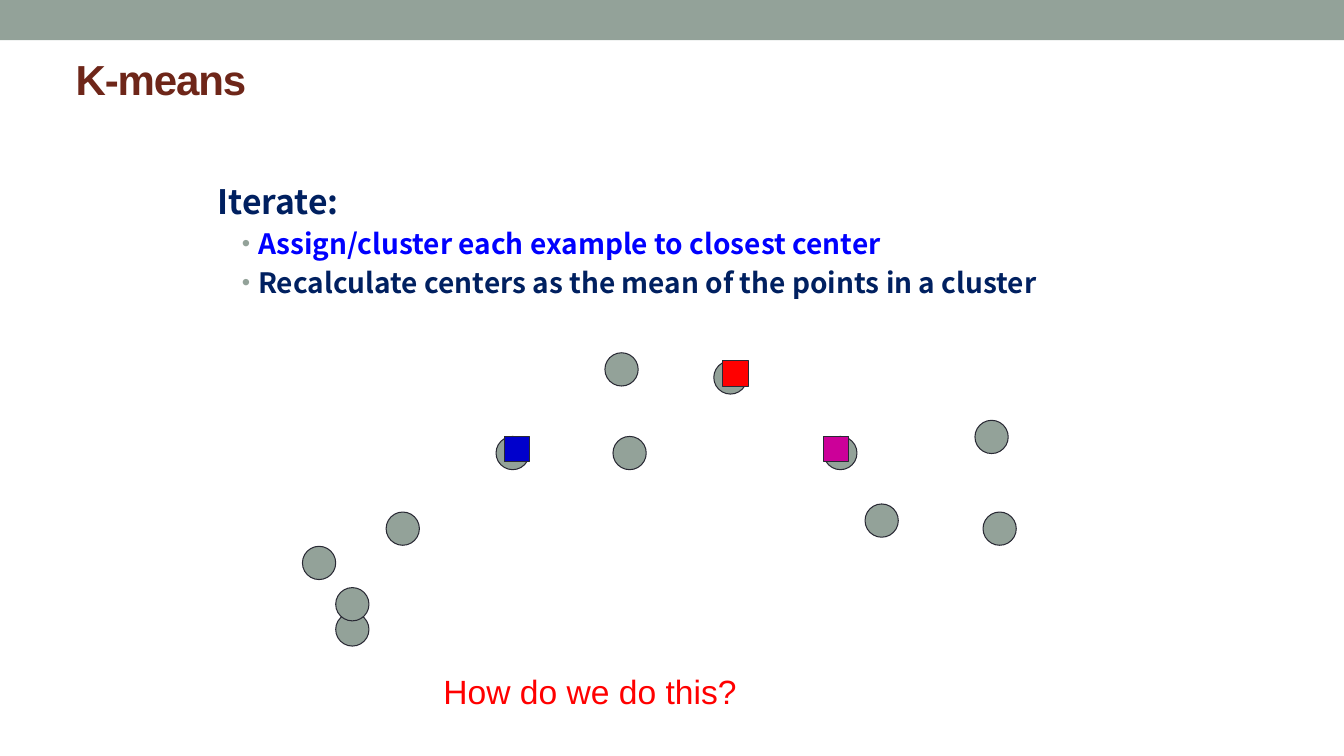
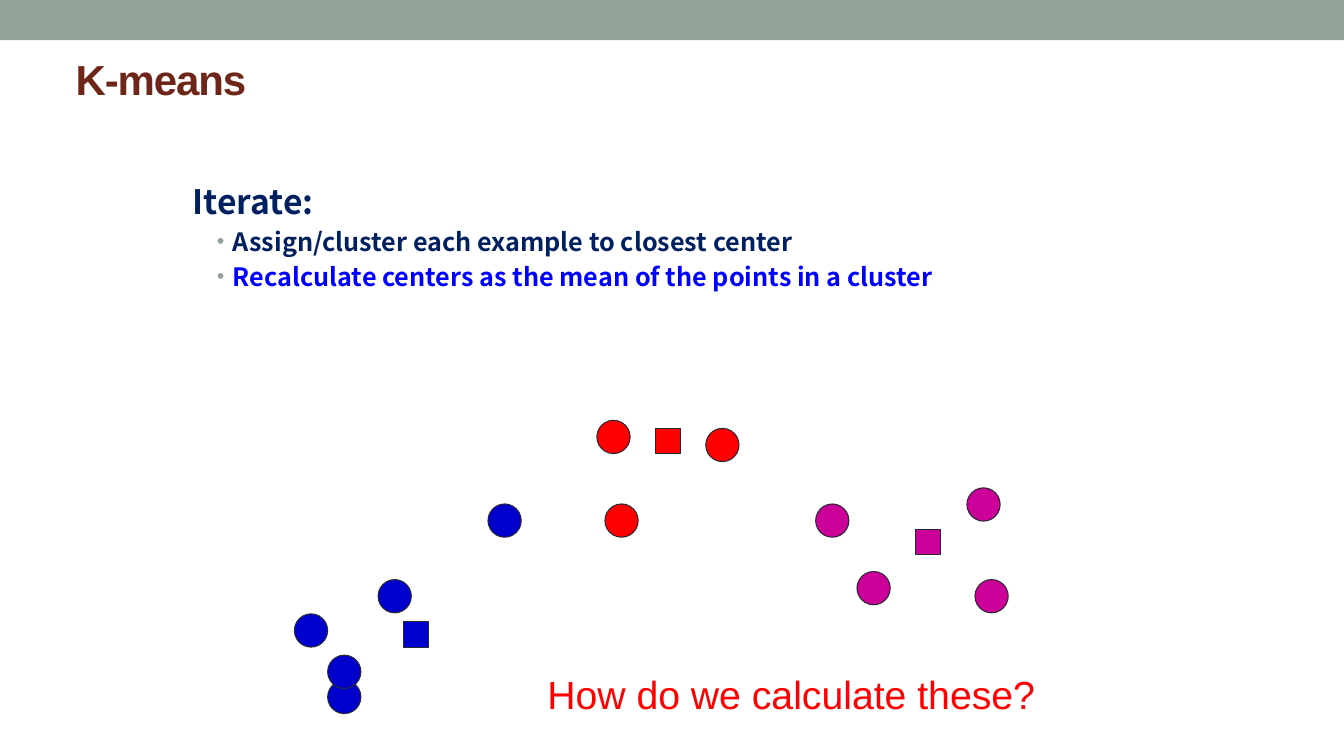
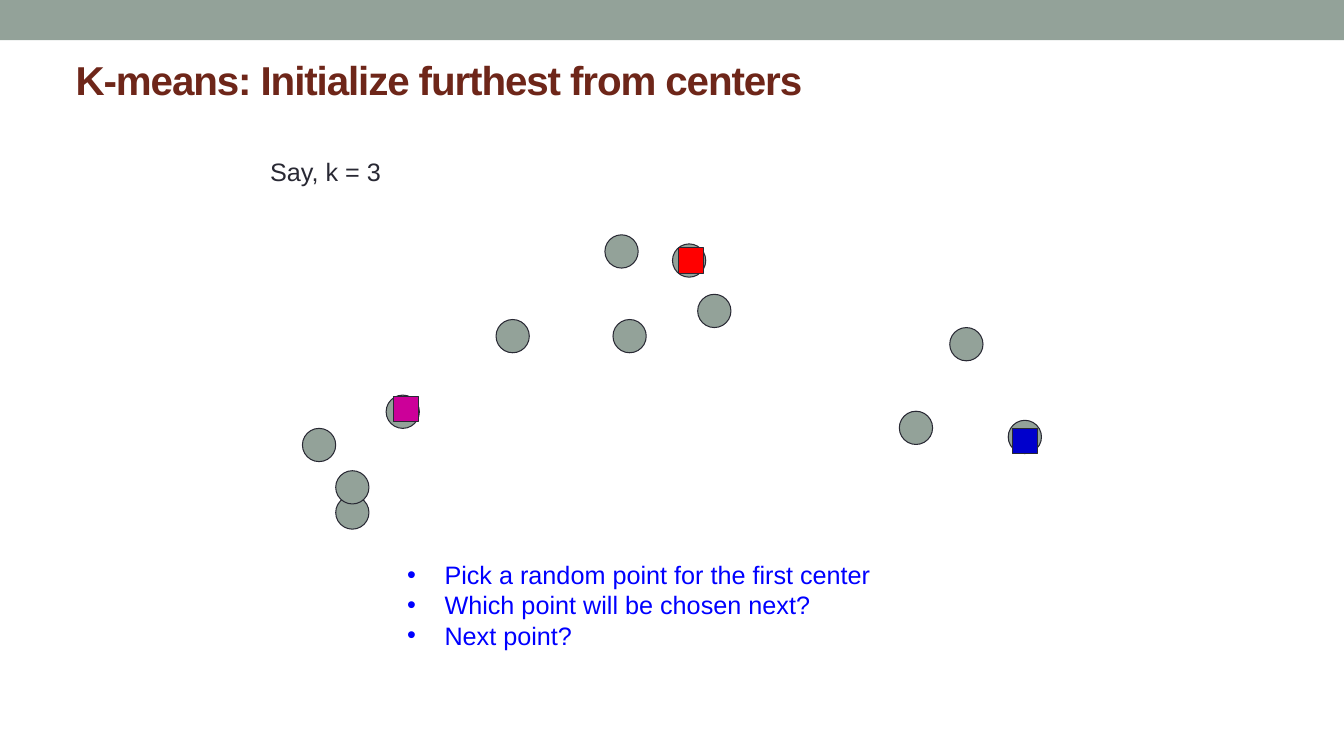
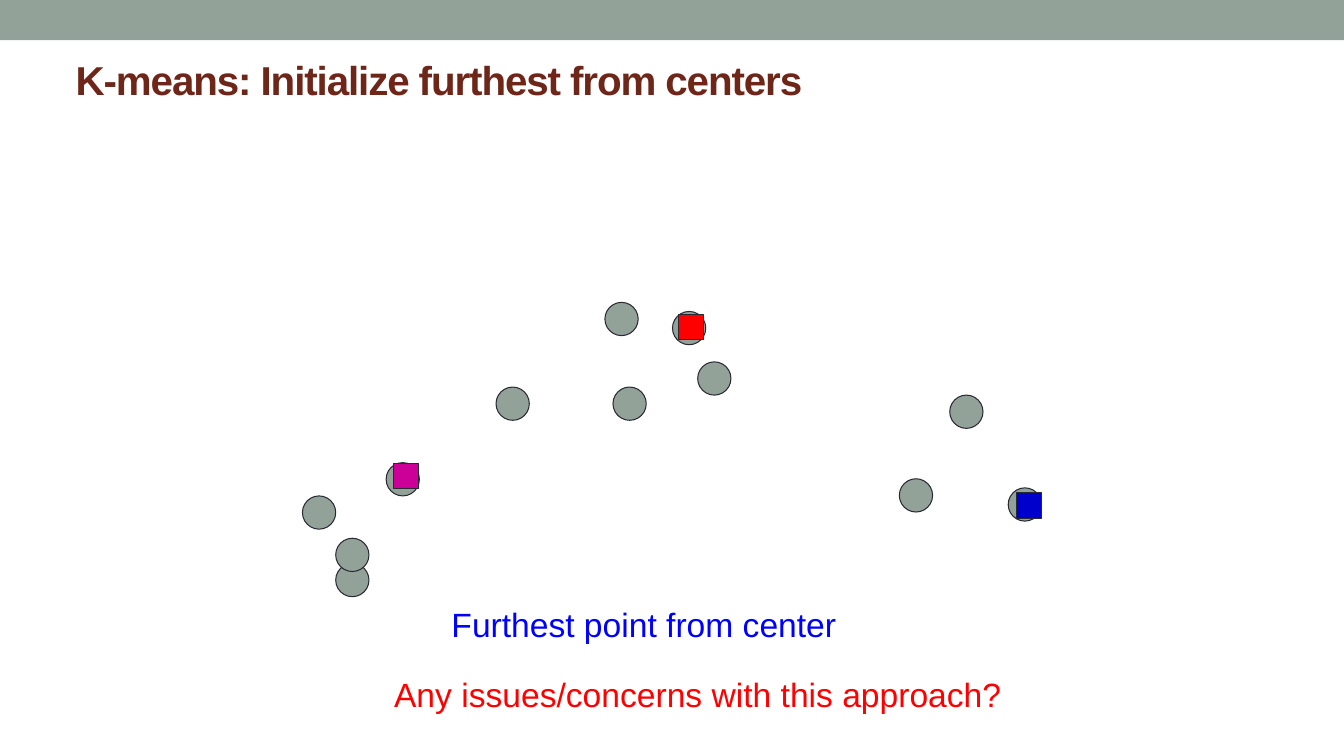
from lxml.etree import SubElement
from pptx import Presentation
from pptx.dml.color import RGBColor
from pptx.enum.shapes import MSO_SHAPE
from pptx.enum.text import MSO_ANCHOR, MSO_AUTO_SIZE, PP_ALIGN
from pptx.oxml.ns import qn
from pptx.util import Inches, Pt

COLORS = {
    "sage": "93A299",
    "ink": "292934",
    "title": "6E2619",
    "navy": "002060",
    "active": "0000FF",
    "blue": "0000CC",
    "red": "FF0000",
    "magenta": "CC0099",
}
SANS = "Arial"
LIST_FONT = "Noto Sans CJK TC"
TITLE_BODY, TITLE_ONLY = 1, 5
POINT_SIZE, CENTER_SIZE = 0.33, 0.25
ITERATE_STEPS = [
    "Assign/cluster each example to closest center",
    "Recalculate centers as the mean of the points in a cluster",
]
CLUSTERS = {
    "blue": [(3.33, 6.08), (3, 5.42), (3.83, 5.08), (4.92, 4.33), (3.33, 5.83)],
    "red": [(6, 3.5), (7.08, 3.58), (6.08, 4.33)],
    "magenta": [(9.67, 4.17), (9.75, 5.08), (8.17, 4.33), (8.58, 5)],
}
SPREAD_POINTS = [
    (3.33, 4.92), (3, 4.25), (3.83, 3.92), (9.42, 3.25), (6, 2.33), (6.67, 2.42),
    (6.08, 3.17), (4.92, 3.17), (10, 4.17), (6.92, 2.92), (3.33, 4.67), (8.92, 4.08),
]


def rgb(color):
    return RGBColor.from_string(COLORS[color])


def place(shape, left, top, width, height):
    shape.left, shape.top = Inches(left), Inches(top)
    shape.width, shape.height = Inches(width), Inches(height)


def add_run(paragraph, text, size, color, font=SANS, bold=False):
    run = paragraph.add_run()
    run.text = text
    run.font.name = font
    run.font.size = Pt(size)
    run.font.bold = bold
    run.font.color.rgb = rgb(color)
    return run


def set_bullet(paragraph, margin, hanging, color=None, percent=None):
    properties = paragraph._p.get_or_add_pPr()
    properties.set("marL", str(Inches(margin)))
    properties.set("indent", str(-Inches(hanging)))
    if color:
        bullet_color = SubElement(properties, qn("a:buClr"))
        SubElement(bullet_color, qn("a:srgbClr"), val=COLORS[color])
    if percent:
        SubElement(properties, qn("a:buSzPct"), val=str(percent * 1000))
    SubElement(properties, qn("a:buFont"), typeface=SANS)
    SubElement(properties, qn("a:buChar"), char="•")


def set_insets(frame):
    frame.margin_left = frame.margin_right = Inches(0.08)
    frame.margin_top = frame.margin_bottom = Inches(0.04)
    frame.auto_size = MSO_AUTO_SIZE.NONE
    frame.word_wrap = True


def add_slide(deck, layout, heading, size):
    slide = deck.slides.add_slide(deck.slide_layouts[layout])
    title = slide.shapes.title
    place(title, 0.67, 0.49, 12, 0.59)
    set_insets(title.text_frame)
    title.text_frame.vertical_anchor = MSO_ANCHOR.MIDDLE
    paragraph = title.text_frame.paragraphs[0]
    paragraph.alignment = PP_ALIGN.LEFT
    run = add_run(paragraph, heading, size, "title", bold=True)
    run.font._element.set("spc", "-80")
    return slide


def add_marker(slide, preset, left, top, width, height, fill, line=None):
    marker = slide.shapes.add_shape(
        preset, Inches(left), Inches(top), Inches(width), Inches(height))
    marker.shadow.inherit = False
    marker.fill.solid()
    marker.fill.fore_color.rgb = rgb(fill)
    if line:
        marker.line.color.rgb = rgb(line)
        marker.line.width = Pt(0.75)
    else:
        marker.line.fill.background()
    return marker


def add_points(slide, points, color="sage", shift=(0, 0)):
    for x, y in points:
        add_marker(slide, MSO_SHAPE.OVAL, x + shift[0], y + shift[1],
                   POINT_SIZE, POINT_SIZE, color, "ink")


def add_centers(slide, centers):
    for color, (x, y) in centers.items():
        add_marker(slide, MSO_SHAPE.RECTANGLE, x, y,
                   CENTER_SIZE, CENTER_SIZE, color, "ink")


def add_iterate_list(slide, position, step_size, active_step):
    body = slide.placeholders[1]
    place(body, *position)
    frame = body.text_frame
    set_insets(frame)
    heading = frame.paragraphs[0]
    properties = heading._p.get_or_add_pPr()
    properties.set("marL", "0")
    properties.set("indent", "0")
    SubElement(properties, qn("a:buNone"))
    heading.space_before = Pt(0)
    add_run(heading, "Iterate:", 24, "navy", LIST_FONT, True)
    for index, step in enumerate(ITERATE_STEPS):
        paragraph = frame.add_paragraph()
        paragraph.level = 1
        set_bullet(paragraph, 0.4, 0.16, "sage", 85)
        color = "active" if index == active_step else "navy"
        add_run(paragraph, step, step_size, color, LIST_FONT, True)


def add_note(slide, position, lines, size, color, bulleted=False):
    left, top, width, height = position
    note = slide.shapes.add_textbox(
        Inches(left), Inches(top), Inches(width), Inches(height))
    frame = note.text_frame
    frame.word_wrap = bulleted
    frame.auto_size = MSO_AUTO_SIZE.SHAPE_TO_FIT_TEXT
    for index, line in enumerate(lines):
        paragraph = frame.add_paragraph() if index else frame.paragraphs[0]
        if bulleted:
            set_bullet(paragraph, 0.37, 0.37)
        add_run(paragraph, line, size, color)


def add_master_band(deck, slide):
    band = add_marker(slide, MSO_SHAPE.RECTANGLE, 0, 0, 13.33, 0.4, "sage")
    band.width = deck.slide_width
    deck.slide_master.shapes.element.insert(2, band.element)


def build_assign(deck):
    slide = add_slide(deck, TITLE_BODY, "K-means", 30)
    add_master_band(deck, slide)
    add_iterate_list(slide, (2.08, 1.75, 8.92, 1.42), 20, 0)
    for points in CLUSTERS.values():
        add_points(slide, points)
    add_centers(slide, {"blue": (5, 4.33), "red": (7.17, 3.58), "magenta": (8.17, 4.33)})
    add_note(slide, (4.3, 6.61, 3.14, 0.5), ["How do we do this?"], 24, "red")


def build_recalculate(deck):
    slide = add_slide(deck, TITLE_BODY, "K-means", 30)
    add_iterate_list(slide, (1.83, 1.75, 9.58, 1.67), 18, 1)
    for color, points in CLUSTERS.items():
        add_points(slide, points, color, (-0.08, 0.67))
    add_centers(slide, {"blue": (4, 6.17), "red": (6.5, 4.25), "magenta": (9.08, 5.25)})
    add_note(slide, (5.33, 6.6, 5.1, 0.57), ["How do we calculate these?"], 28, "red")


def build_furthest(deck, shift, centers):
    slide = add_slide(deck, TITLE_ONLY, "K-means: Initialize furthest from centers", 28.8)
    add_points(slide, SPREAD_POINTS, shift=(0, shift))
    add_centers(slide, centers)
    return slide


def main():
    deck = Presentation()
    deck.slide_width, deck.slide_height = Inches(13.33), Inches(7.5)
    build_assign(deck)
    build_recalculate(deck)

    choosing = build_furthest(
        deck, 0, {"magenta": (3.9, 3.93), "blue": (10.04, 4.25), "red": (6.73, 2.46)})
    add_note(choosing, (3.94, 5.5, 4.89, 1.01), [
        "Pick a random point for the first center",
        "Which point will be chosen next?",
        "Next point?",
    ], 18, "active", bulleted=True)
    add_note(choosing, (2.58, 1.5, 1.31, 0.4), ["Say, k = 3"], 18, "ink")

    concerns = build_furthest(
        deck, 0.67, {"blue": (10.08, 4.89), "red": (6.73, 3.12), "magenta": (3.9, 4.6)})
    add_note(concerns, (4.38, 5.94, 4.06, 0.5), ["Furthest point from center"], 24, "active")
    add_note(concerns, (3.81, 6.64, 6.29, 0.5),
             ["Any issues/concerns with this approach?"], 24, "red")
    deck.save("out.pptx")


if __name__ == "__main__":
    main()
